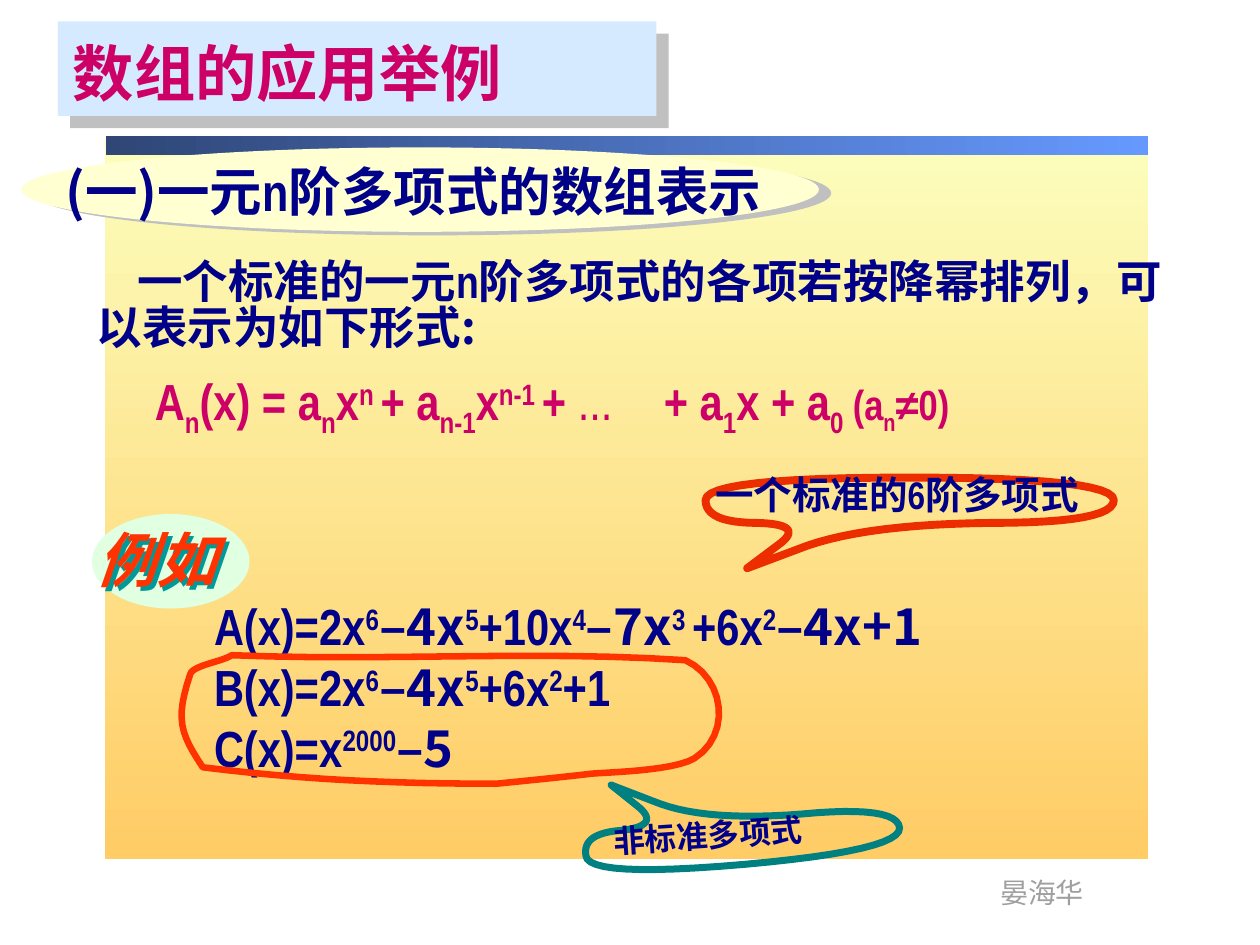
import math

import pptx
import pptx.dml.color
import pptx.enum.shapes
import pptx.enum.text
import pptx.oxml
import pptx.oxml.ns
import pptx.util

RGB = pptx.dml.color.RGBColor
Pt = pptx.util.Pt
SHAPE = pptx.enum.shapes.MSO_SHAPE
ANCHOR = pptx.enum.text.MSO_ANCHOR

NAVY = RGB(0x00, 0x00, 0x88)
MAGENTA = RGB(0xCC, 0x00, 0x66)
ORANGE = RGB(0xFF, 0x33, 0x00)
RED = RGB(0xEC, 0x2D, 0x00)
TEAL = RGB(0x00, 0x80, 0x80)
GREY = RGB(0x9F, 0x9F, 0x9F)
PALE_BLUE = RGB(0xD5, 0xEA, 0xFF)
PALE_YELLOW = RGB(0xFF, 0xFF, 0xD1)
PALE_GREEN = RGB(0xE1, 0xFF, 0xE1)
PANEL_COLOURS = RGB(0xFC, 0xFE, 0xBC), RGB(0xFF, 0xCC, 0x66)
BAR_COLOURS = RGB(0x2F, 0x46, 0x76), RGB(0x66, 0x99, 0xFF)

LATIN, CJK = "Arial Narrow", "Noto Sans CJK SC"
SUB, SUP = -25, 30

# Content: runs are (text, baseline shift); places are in inches
STATEMENT = [("一个标准的一元", 0), ("n", 0), ("阶多项式的各项若按降幂排列，可以表示为如下形式:", 0)]
GENERAL_FORM = [
    ("A", 0), ("n", SUB), ("(x) = a", 0), ("n", SUB), ("x", 0), ("n ", SUP),
    ("+ a", 0), ("n-1", SUB), ("x", 0), ("n-1 ", SUP), ("+ ", 0), ("...", 0),
    ("\t+ a", 0), ("1", SUB), ("x + a", 0), ("0", SUB),
]
CONDITION = [("\t(a", 0), ("n", SUB), ("≠0)", 0)]
EXAMPLES = [
    [("A(x)=2x", 0), ("6", SUP), ("–4x", 0), ("5", SUP), ("+10x", 0), ("4", SUP),
     ("–7x", 0), ("3 ", SUP), ("+6x", 0), ("2", SUP), ("–4x+1", 0)],
    [("B(x)=2x", 0), ("6", SUP), ("–4x", 0), ("5", SUP), ("+6x", 0), ("2", SUP), ("+1", 0)],
    [("C(x)=x", 0), ("2000", SUP), ("–5", 0)],
]
HEADING = [("(一)一元", 0), ("n", 0), ("阶多项式的数组表示", 0)]
STANDARD_NOTE = [("一个标准的", 0), ("6", 0), ("阶多项式", 0)]

# Outlines: start point, then the control points and end of each curve
STANDARD_BALLOON = (5.6, 3.97), [
    [(5.6, 3.79), (7.22, 3.79)], [(8.84, 3.79), (8.84, 3.97)],
    [(8.84, 4.15), (7.87, 4.15)], [(6.9, 4.16), (6.41, 4.33)],
    [(5.93, 4.51), (5.93, 4.51)], [(5.93, 4.51), (6.17, 4.33)],
    [(6.41, 4.16), (6.01, 4.15)], [(5.6, 4.15), (5.6, 3.97)],
]
NONSTANDARD_LOOP = (1.84, 5.2), [
    [(3.04, 5.25), (4.25, 5.16), (5.44, 5.24)],
    [(5.75, 5.38), (5.81, 5.83), (5.51, 6.02)],
    [(5.34, 6.12), (4.8, 6.13), (4.7, 6.14)],
    [(4.45, 6.17), (3.94, 6.22), (3.94, 6.22)],
    [(3.11, 6.22), (2.42, 6.19), (1.61, 6.09)],
    [(1.43, 5.82), (1.39, 5.71), (1.51, 5.35)],
    [(1.53, 5.28), (1.77, 5.25), (1.84, 5.2)],
]
NONSTANDARD_BALLOON = (4.65, 6.79), [
    [(4.66, 6.97), (5.91, 6.86)], [(7.15, 6.75), (7.14, 6.57)],
    [(7.12, 6.39), (6.37, 6.46)], [(5.63, 6.52), (5.24, 6.38)],
    [(4.85, 6.23), (4.85, 6.23)], [(4.85, 6.23), (5.05, 6.39)],
    [(5.26, 6.55), (4.94, 6.59)], [(4.62, 6.61), (4.65, 6.79)],
]


def inches(value):
    return pptx.util.Cm(value * 2.54)


def add_shadow(shape, colour, distance, angle):
    shape._element.spPr.append(pptx.oxml.parse_xml(
        f'<a:effectLst {pptx.oxml.ns.nsdecls("a")}>'
        f'<a:outerShdw dist="{Pt(distance)}" dir="{angle * 60000}" algn="ctr" rotWithShape="0">'
        f'<a:srgbClr val="{colour}"/></a:outerShdw></a:effectLst>'))


def add_block(kind, place, colours, angle=0, shadow=None):
    block = shapes.add_shape(kind, *map(inches, place))
    block.line.fill.background()
    if len(colours) == 1:
        block.fill.solid()
        block.fill.fore_color.rgb = colours[0]
    else:
        block.fill.gradient()
        block.fill.gradient_angle = angle
        for stop, colour in zip(block.fill.gradient_stops, colours):
            stop.color.rgb = colour
    if shadow:
        add_shadow(block, "C0C0C0", *shadow)
    else:
        block.shadow.inherit = False


def add_outline(outline, colour, width, steps=12):
    start, curves = outline
    points, here = [], start
    for curve in curves:
        controls = [here, *curve]
        degree = len(curve)
        for step in range(1, steps + 1):
            t = step / steps
            weights = [math.comb(degree, i) * t**i * (1 - t)**(degree - i)
                       for i in range(degree + 1)]
            points.append(tuple(inches(sum(w * c[axis] for w, c in zip(weights, controls)))
                                for axis in (0, 1)))
        here = curve[-1]
    builder = shapes.build_freeform(inches(start[0]), inches(start[1]))
    builder.add_line_segments(points, close=True)
    line = builder.convert_to_shape()
    line.fill.background()
    line.line.color.rgb = colour
    line.line.width = Pt(width)
    line.shadow.inherit = False


def add_box(place, anchor=ANCHOR.MIDDLE, wrap=True):
    box = shapes.add_textbox(*map(inches, place))
    box.text_frame.word_wrap = wrap
    box.text_frame.vertical_anchor = anchor
    return box


def add_runs(paragraph, runs, size, colour, bold=True, italic=False):
    for text, shift in runs:
        run = paragraph.add_run()
        run.text = text
        font = run.font
        font.size, font.bold, font.italic = Pt(size), bold and text != "...", italic
        font.color.rgb = colour
        font.name = LATIN if text.isascii() or "≠" in text else CJK
        properties = run._r.get_or_add_rPr()
        if shift:
            properties.set("baseline", str(shift * 1000))
        properties.find(pptx.oxml.ns.qn("a:latin")).addnext(pptx.oxml.parse_xml(
            f'<a:ea {pptx.oxml.ns.nsdecls("a")} typeface="{CJK}"/>'))


def indent(paragraph, first_line, tabs=()):
    properties = paragraph._p.get_or_add_pPr()
    properties.set("marL", "0")
    properties.set("indent", str(inches(first_line)))
    if tabs:
        stops = "".join(f'<a:tab pos="{inches(tab)}" algn="l"/>' for tab in tabs)
        properties.append(pptx.oxml.parse_xml(
            f'<a:tabLst {pptx.oxml.ns.nsdecls("a")}>{stops}</a:tabLst>'))


def add_label(place, runs, size, colour, wrap=True, **style):
    box = add_box(place, wrap=wrap)
    add_runs(box.text_frame.paragraphs[0], runs, size, colour, **style)
    return box


deck = pptx.Presentation()
deck.slide_width, deck.slide_height = inches(10), inches(7.5)
shapes = deck.slides.add_slide(deck.slide_layouts[6]).shapes

# Backdrop and author
add_block(SHAPE.RECTANGLE, (0.83, 1.1, 8.28, 5.72), PANEL_COLOURS, 270)
add_block(SHAPE.RECTANGLE, (0.84, 1.08, 8.27, 0.15), BAR_COLOURS)
add_label((7.84, 6.9, 0.87, 0.37), [("晏海华", 0)], 16, GREY, wrap=False, bold=False)

# Statement and general form
body = add_box((0.67, 2.03, 8.82, 1.5), ANCHOR.TOP).text_frame
statement = body.paragraphs[0]
indent(statement, 0.32)
statement.line_spacing, statement.space_after = Pt(26.3), Pt(3)
add_runs(statement, STATEMENT, 26, NAVY)
general_form = body.add_paragraph()
indent(general_form, 0.46, tabs=(4.27, 6.12))
general_form.space_before = Pt(6)
add_runs(general_form, GENERAL_FORM, 29, MAGENTA)
add_runs(general_form, CONDITION, 24, MAGENTA)

# Example polynomials
examples = add_box((1.33, 4.67, 6.58, 1.89), ANCHOR.TOP).text_frame
for number, polynomial in enumerate(EXAMPLES):
    line = examples.add_paragraph() if number else examples.paragraphs[0]
    indent(line, 0.27)
    add_runs(line, polynomial, 29, NAVY)

# Title, heading and example tag
add_block(SHAPE.RECTANGLE, (0.46, 0.17, 4.75, 0.75), [PALE_BLUE], shadow=(9.9, 45))
add_label((0.48, 0.23, 5.19, 0.69), [("数组的应用举例", 0)], 35, MAGENTA)
add_block(SHAPE.OVAL, (0.17, 1.17, 6.33, 0.67), [PALE_YELLOW], shadow=(7.3, 16))
add_label((0.42, 1.21, 6.67, 0.61), HEADING, 30, NAVY)
add_block(SHAPE.OVAL, (0.73, 4.08, 1.25, 0.75), [PALE_GREEN])
tag = add_label((0.67, 4.1, 1.42, 0.67), [("例如", 0)], 34, ORANGE, italic=True)
add_shadow(tag, "009999", 3, 45)

# Balloons
add_outline(STANDARD_BALLOON, RED, 4.5)
add_label((5.58, 3.69, 3.75, 0.47), STANDARD_NOTE, 22, NAVY)
add_outline(NONSTANDARD_LOOP, ORANGE, 3.75)
add_outline(NONSTANDARD_BALLOON, TEAL, 4)
note = add_label((4.77, 6.41, 2.25, 0.4), [("非标准多项式", 0)], 18, NAVY)
note.rotation = 356.2

deck.save("out.pptx")
